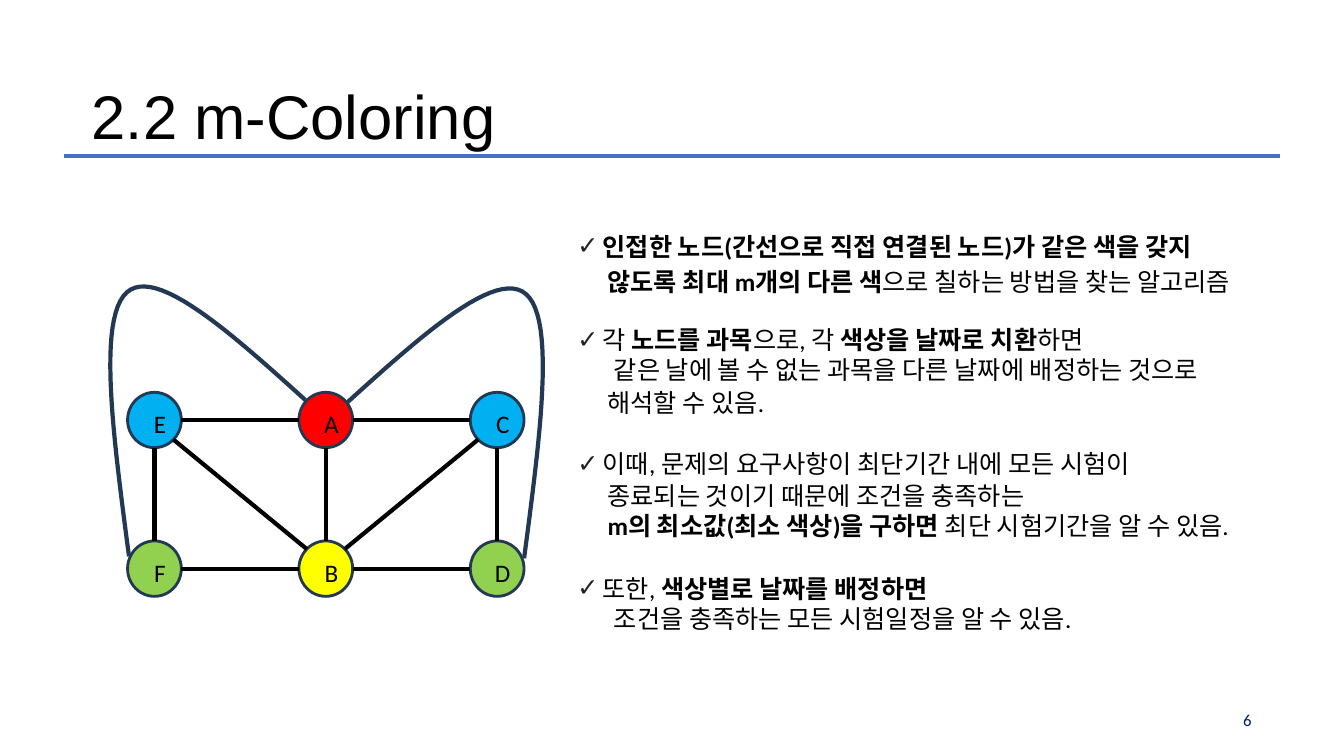
"""Build the m-Coloring slide: a coloured graph beside a check-marked list."""
from dataclasses import dataclass
from math import sqrt

from lxml import etree
from pptx import Presentation
from pptx import util as u
from pptx.dml.color import RGBColor
from pptx.enum import shapes, text
from pptx.oxml import ns

COLORS = {
    "black": "000000", "check": "222222", "rule": "4471C4", "outline": "233953",
    "number": "001F5F", "red": "FF0000", "yellow": "FFFF00", "blue": "00B0F0",
    "green": "92D050",
}
RADIUS_X, RADIUS_Y = 19.2, 19.8
COLUMN_LEFT, COLUMN_STEP = 110.3, 122.4
ROW_TOP, ROW_STEP = 300, 106.2
LINE_PITCH = 21.5
MIRROR_SUM, MIRROR_DROP = 466.6, 1.4


@dataclass(frozen=True)
class Node:
    """A graph vertex placed on the column and row grid."""
    column: int
    row: int
    color: str

    @property
    def center(self) -> tuple[float, float]:
        """Return the centre in points."""
        return COLUMN_LEFT + self.column * COLUMN_STEP, ROW_TOP + self.row * ROW_STEP

    def port(self, other: "Node") -> tuple[float, float]:
        """Return the outline point that faces another node."""
        across = (other.column > self.column) - (other.column < self.column)
        down = (other.row > self.row) - (other.row < self.row)
        reach = 1 / sqrt(abs(across) + abs(down))
        x, y = self.center
        return x + across * RADIUS_X * reach, y + down * RADIUS_Y * reach


@dataclass(frozen=True)
class Line:
    """A list line: its (words, bold) spans, gap above, indent and check mark."""
    spans: tuple[tuple[str, bool], ...]
    gap: float = 0
    indent: float = 21.5
    checked: bool = False


NODES = {
    "A": Node(1, 0, "red"), "B": Node(1, 1, "yellow"), "C": Node(2, 0, "blue"),
    "D": Node(2, 1, "green"), "E": Node(0, 0, "blue"), "F": Node(0, 1, "green"),
}
EDGES = ("EA", "AC", "FB", "BD", "EF", "AB", "CD", "EB", "CB")
LOOP = (
    ((218.2, 285.8), (164.9, 237.6), (111.6, 190.1), (90.7, 208.8)),
    ((90.7, 208.8), (69.5, 227.5), (81, 312.5), (92.2, 397.4)),
)
LINES = (
    Line((("인접한 노드(간선으로 직접 연결된 노드)가 같은 색을 갖지", True),), 0, 18, True),
    Line((("않도록 최대 m개의 다른 색", True), ("으로 칠하는 방법을 찾는 알고리즘", False)), 4),
    Line((("각 ", False), ("노드를 과목", True), ("으로, 각 ", False),
          ("색상을 날짜로 치환", True), ("하면", False)), 20, 18, True),
    Line((("같은 날에 볼 수 없는 과목을 다른 날짜에 배정하는 것으로", False),), 0, 26),
    Line((("해석할 수 있음.", False),), 2),
    Line((("이때, 문제의 요구사항이 최단기간 내에 모든 시험이", False),), 22, 18, True),
    Line((("종료되는 것이기 때문에 조건을 충족하는", False),), 1),
    Line((("m의 최소값(최소 색상)을 구하면 ", True), ("최단 시험기간을 알 수 있음.", False))),
    Line((("또한, ", False), ("색상별로 날짜를 배정하면", True)), 23.5, 18, True),
    Line((("조건을 충족하는 모든 시험일정을 알 수 있음.", False),), 0, 26),
)


def rgb(name: str) -> RGBColor:
    """Look up a named colour."""
    return RGBColor.from_string(COLORS[name])


def style(run, size: float, color: str = "black", font: str = "Calibri", bold: bool = False) -> None:
    """Format one run."""
    run.font.size = u.Pt(size)
    run.font.name = font
    run.font.bold = bold
    run.font.color.rgb = rgb(color)


def place(shape, left: float, top: float, width: float, height: float) -> None:
    """Move and size a shape in points."""
    shape.left, shape.top = u.Pt(left), u.Pt(top)
    shape.width, shape.height = u.Pt(width), u.Pt(height)


def set_insets(frame, left: float = 0, top: float = 0, right: float = 0, bottom: float = 0) -> None:
    """Set the text margins in points."""
    frame.margin_left, frame.margin_top = u.Pt(left), u.Pt(top)
    frame.margin_right, frame.margin_bottom = u.Pt(right), u.Pt(bottom)


def draw_straight(slide, start: tuple, end: tuple, color: str, width: float) -> None:
    """Draw a straight line without a shadow."""
    straight = slide.shapes.add_connector(
        shapes.MSO_CONNECTOR.STRAIGHT, *(u.Pt(value) for value in (*start, *end)))
    straight.line.color.rgb = rgb(color)
    straight.line.width = u.Pt(width)
    etree.SubElement(straight._element.spPr, ns.qn("a:effectLst"))


def draw_node(slide, letter: str, node: Node) -> None:
    """Draw a coloured vertex with its letter."""
    x, y = node.center
    vertex = slide.shapes.add_shape(
        shapes.MSO_SHAPE.OVAL, u.Pt(x - RADIUS_X), u.Pt(y - RADIUS_Y),
        u.Pt(2 * RADIUS_X), u.Pt(2 * RADIUS_Y))
    vertex.shadow.inherit = False
    vertex.fill.solid()
    vertex.fill.fore_color.rgb = rgb(node.color)
    vertex.line.color.rgb = rgb("outline")
    vertex.line.width = u.Pt(2)
    frame = vertex.text_frame
    set_insets(frame, left=8, top=6)
    frame.vertical_anchor = text.MSO_ANCHOR.TOP
    frame.text = letter
    frame.paragraphs[0].alignment = text.PP_ALIGN.CENTER
    style(frame.paragraphs[0].runs[0], 18)


def bezier(controls: tuple, t: float) -> tuple[float, float]:
    """Return the point at t on a cubic curve."""
    weights = ((1 - t) ** 3, 3 * t * (1 - t) ** 2, 3 * t * t * (1 - t), t ** 3)
    return (sum(w * x for w, (x, _) in zip(weights, controls)),
            sum(w * y for w, (_, y) in zip(weights, controls)))


def draw_loop(slide, mirrored: bool, steps: int = 24) -> None:
    """Draw the outer curve from A down to F, or mirrored down to D."""
    curve = [bezier(section, step / steps) for section in LOOP for step in range(steps + 1)]
    if mirrored:
        curve = [(MIRROR_SUM - x, y + MIRROR_DROP) for x, y in curve]
    points = [(u.Pt(x), u.Pt(y)) for x, y in curve]
    builder = slide.shapes.build_freeform(*points[0])
    builder.add_line_segments(points[1:], close=False)
    loop = builder.convert_to_shape()
    loop.shadow.inherit = False
    loop.fill.background()
    loop.line.color.rgb = rgb("outline")
    loop.line.width = u.Pt(3)


def write_line(paragraph, line: Line) -> None:
    """Write one list line with its indent and check mark."""
    paragraph.line_spacing = u.Pt(LINE_PITCH)
    paragraph.space_before, paragraph.space_after = u.Pt(line.gap), u.Pt(0)
    paragraph.alignment = text.PP_ALIGN.LEFT
    props = paragraph._p.get_or_add_pPr()
    props.set("marL", str(u.Pt(line.indent)))
    props.set("indent", str(-u.Pt(line.indent) if line.checked else 0))
    if line.checked:
        tint = etree.SubElement(props, ns.qn("a:buClr"))
        etree.SubElement(tint, ns.qn("a:srgbClr"), val=COLORS["check"])
        etree.SubElement(props, ns.qn("a:buFont"), typeface="Arial")
        etree.SubElement(props, ns.qn("a:buChar"), char="✓")
    else:
        etree.SubElement(props, ns.qn("a:buNone"))
    for words, bold in line.spans:
        run = paragraph.add_run()
        run.text = words
        style(run, 18, bold=bold)


def write_heading(slide) -> None:
    """Fill the title and draw the rule under it."""
    heading = slide.shapes.title
    place(heading, 58.3, 51.8, 317.5, 60.5)
    frame = heading.text_frame
    frame.text = "2.2 m-Coloring"
    frame.word_wrap = False
    frame.auto_size = text.MSO_AUTO_SIZE.NONE
    frame.vertical_anchor = text.MSO_ANCHOR.TOP
    frame.paragraphs[0].alignment = text.PP_ALIGN.LEFT
    style(frame.paragraphs[0].runs[0], 44, font="Arial")
    draw_straight(slide, (45.4, 111.6), (914.4, 111.6), "rule", 2.5)


def write_list(slide) -> None:
    """Fill the body with the explanation."""
    explanation = slide.placeholders[1]
    place(explanation, 412.5, 165, 520, 295)
    frame = explanation.text_frame
    set_insets(frame)
    frame.word_wrap = True
    frame.auto_size = text.MSO_AUTO_SIZE.NONE
    frame.vertical_anchor = text.MSO_ANCHOR.TOP
    for index, line in enumerate(LINES):
        write_line(frame.add_paragraph() if index else frame.paragraphs[0], line)


def write_number(slide) -> None:
    """Write the slide number."""
    number = slide.shapes.add_textbox(u.Pt(884.9), u.Pt(509), u.Pt(24.5), u.Pt(12.4))
    frame = number.text_frame
    set_insets(frame, left=3)
    frame.word_wrap = True
    frame.text = "6"
    frame.paragraphs[0].line_spacing = u.Pt(12.4)
    style(frame.paragraphs[0].runs[0], 12, "number")


def main() -> None:
    """Build and save the slide."""
    deck = Presentation()
    deck.slide_width, deck.slide_height = u.Pt(960), u.Pt(540)
    slide = deck.slides.add_slide(deck.slide_layouts[1])
    write_heading(slide)
    for letter, node in NODES.items():
        draw_node(slide, letter, node)
    for start, end in EDGES:
        draw_straight(slide, NODES[start].port(NODES[end]), NODES[end].port(NODES[start]), "black", 3)
    for mirrored in (False, True):
        draw_loop(slide, mirrored)
    write_list(slide)
    write_number(slide)
    deck.save("out.pptx")


if __name__ == "__main__":
    main()
